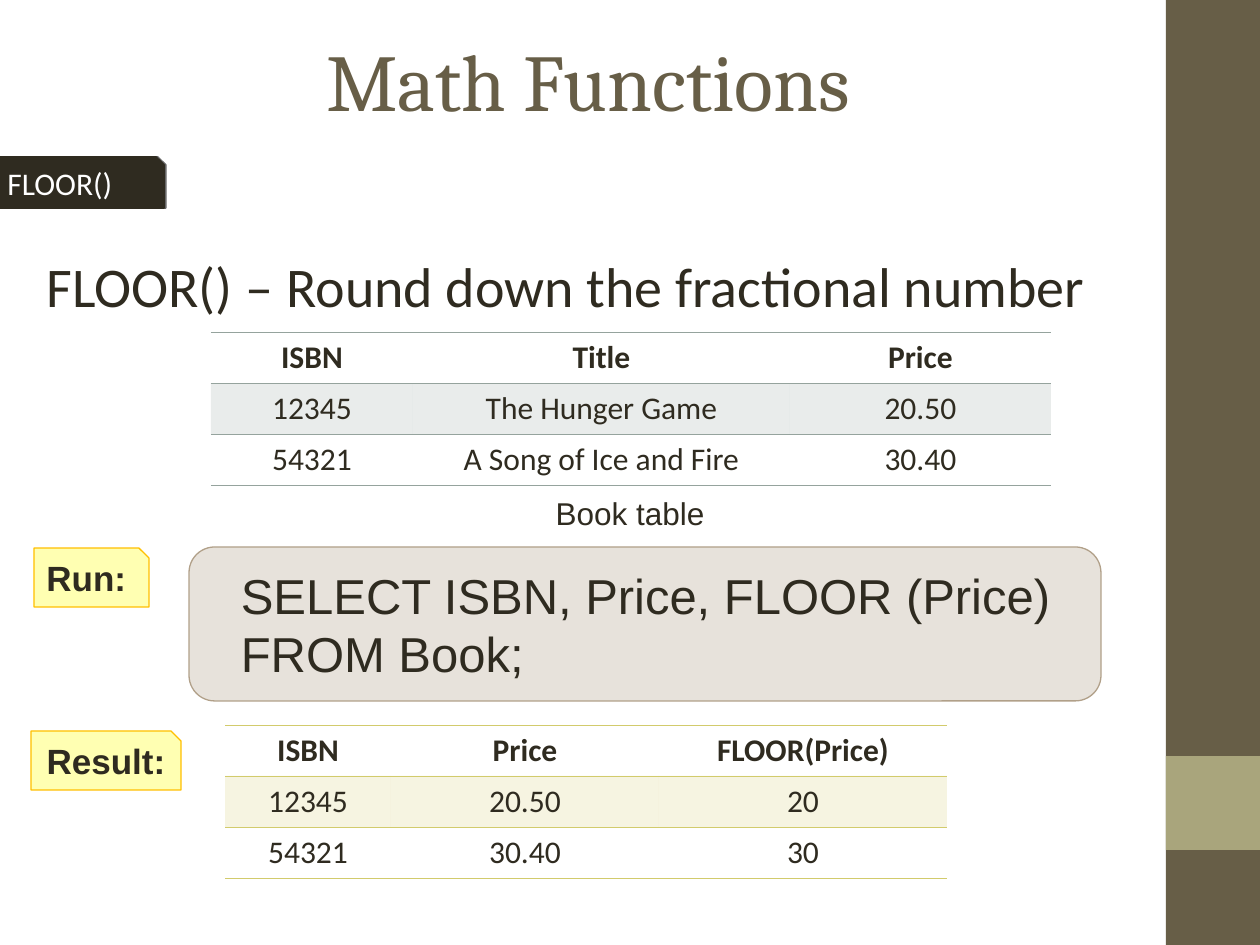
from dataclasses import dataclass

from lxml.etree import SubElement, fromstring
from pptx import Presentation
from pptx.dml.color import RGBColor
from pptx.enum.shapes import MSO_SHAPE as Shape
from pptx.enum.text import MSO_ANCHOR as Anchor, PP_ALIGN as Align
from pptx.oxml.ns import nsdecls, qn
from pptx.util import Emu, Pt

SCALE = 914400 / 126
PLAIN_TABLE = "{2D5ABB26-0587-4C30-8999-92F81FD0307C}"


@dataclass(frozen=True)
class Theme:
    olive: str = "675E47"
    sage: str = "A9A57C"
    ink: str = "2F2B20"
    white: str = "FFFFFF"
    taupe: str = "B1A089"
    yellow: str = "FFFF00"
    amber: str = "FFC000"
    grey: str = "95A39D"
    straw: str = "D2CB6C"
    title: int = 46
    lead: int = 32
    code: int = 28
    label: int = 20
    body: int = 18
    heading_font: str = "Cambria"
    body_font: str = "Calibri"
    code_font: str = "Arial"


def px(value):
    return Emu(round(value * SCALE))


def rgb(value):
    return RGBColor.from_string(value)


def assign(target, values):
    for name, value in values.items():
        setattr(target, name, value)


class Deck:
    def __init__(self, theme, width, height):
        self.theme = theme
        self.prs = Presentation()
        assign(self.prs, {"slide_width": px(width), "slide_height": px(height)})
        self.s = self.prs.slides.add_slide(self.prs.slide_layouts[6])

    def paint(self, fill, holder, color, alpha=100):
        fill.solid()
        fill.fore_color.rgb = rgb(color)
        if alpha < 100:
            clr = holder.find(qn("a:solidFill")).find(qn("a:srgbClr"))
            SubElement(clr, qn("a:alpha")).set("val", str(alpha * 1000))

    def put_text(self, tf, text, size, font, color=None, bold=False, align=Align.LEFT):
        p = tf.paragraphs[0]
        p.alignment = align
        r = p.add_run()
        r.text = text
        assign(r.font, {"size": Pt(size), "name": font, "bold": bold})
        r.font.color.rgb = rgb(color or self.theme.ink)
        return p

    def textbox(self, box, text, size, font, anchor=Anchor.TOP, **style):
        tf = self.s.shapes.add_textbox(*map(px, box)).text_frame
        assign(tf, {"word_wrap": True, "vertical_anchor": anchor})
        self.put_text(tf, text, size, font, **style)

    def finish(self, sp, color, alpha=100, line=None, width=0.75):
        sp.shadow.inherit = False
        self.paint(sp.fill, sp._element.spPr, color, alpha)
        if line:
            sp.line.color.rgb = rgb(line)
            sp.line.width = Pt(width)
        else:
            sp.line.fill.background()
        assign(sp.text_frame, {"word_wrap": True, "vertical_anchor": Anchor.MIDDLE})
        return sp

    def shape(self, kind, box, color, **look):
        return self.finish(self.s.shapes.add_shape(kind, *map(px, box)), color, **look)

    def snipped(self, box, color, **look):
        x, y, w, h = box
        right, bottom, cut = x + w, y + h, round(h / 6)
        builder = self.s.shapes.build_freeform(x, y, scale=SCALE)
        builder.add_line_segments([(right - cut, y), (right, y + cut),
                                   (right, bottom), (x, bottom)])
        return self.finish(builder.convert_to_shape(), color, **look)

    def edge_shadow(self, sp):
        effects = sp._element.spPr.find(qn("a:effectLst"))
        effects.append(fromstring(
            f'<a:outerShdw {nsdecls("a")} dist="12700" dir="0">'
            '<a:srgbClr val="000000"><a:alpha val="60000"/></a:srgbClr></a:outerShdw>'))

    def border(self, cell, side, color):
        cell._tc.get_or_add_tcPr().insert(0, fromstring(
            f'<a:{side} {nsdecls("a")} w="5715"><a:solidFill>'
            f'<a:srgbClr val="{color}"/></a:solidFill></a:{side}>'))

    def table(self, left, top, widths, row_height, rows, color):
        t = self.theme
        box = map(px, (left, top, sum(widths), row_height * len(rows)))
        table = self.s.shapes.add_table(len(rows), len(widths), *box).table
        table._tbl.tblPr.find(qn("a:tableStyleId")).text = PLAIN_TABLE
        for column, width in zip(table.columns, widths):
            column.width = px(width)
        for i, row in enumerate(rows):
            table.rows[i].height = px(row_height)
            for j, value in enumerate(row):
                cell = table.cell(i, j)
                self.put_text(cell.text_frame, value, t.body, t.body_font,
                              bold=i == 0, align=Align.CENTER)
                if i == 1:
                    self.paint(cell.fill, cell._tc.get_or_add_tcPr(), color, 20)
                else:
                    cell.fill.background()
                self.border(cell, "lnB" if i == len(rows) - 1 else "lnT", color)


def main():
    t = Theme()
    deck = Deck(t, 1260, 945)
    deck.shape(Shape.RECTANGLE, (1166, 0, 94, 945), t.olive)
    deck.shape(Shape.RECTANGLE, (1166, 756, 94, 94), t.sage)
    deck.textbox((63, 0, 1050, 158), "Math Functions", t.title, t.heading_font,
                 Anchor.MIDDLE, color=t.olive, align=Align.CENTER)

    tab = deck.snipped((-5, 157, 169, 51), t.ink, line=t.ink, width=1)
    deck.edge_shadow(tab)
    deck.put_text(tab.text_frame, "FLOOR()", t.body, t.body_font,
                  color=t.white, align=Align.JUSTIFY)
    deck.textbox((34, 245, 1206, 149), "FLOOR() – Round down the fractional number",
                 t.lead, t.body_font)

    query = deck.shape(Shape.ROUNDED_RECTANGLE, (189, 547, 912, 154), t.taupe,
                       alpha=30, line=t.taupe)
    p = deck.put_text(query.text_frame, "SELECT ISBN, Price, FLOOR (Price) FROM Book;",
                      t.code, t.code_font)
    p._p.get_or_add_pPr().set("marL", str(px(32)))

    deck.table(225, 725, (166, 268, 288), 51,
               (("ISBN", "Price", "FLOOR(Price)"),
                ("12345", "20.50", "20"),
                ("54321", "30.40", "30")), t.straw)
    deck.table(211, 332, (202, 377, 261), 51,
               (("ISBN", "Title", "Price"),
                ("12345", "The Hunger Game", "20.50"),
                ("54321", "A Song of Ice and Fire", "30.40")), t.grey)
    deck.textbox((491, 488, 278, 50), "Book table", t.body, t.code_font,
                 align=Align.CENTER)

    for box, label, align in (((31, 731, 150, 59), "Result:", Align.CENTER),
                              ((34, 548, 115, 59), "Run:", Align.LEFT)):
        sp = deck.snipped(box, t.yellow, alpha=30, line=t.amber)
        deck.put_text(sp.text_frame, label, t.label, t.code_font, bold=True, align=align)
    deck.prs.save("out.pptx")


if __name__ == "__main__":
    main()
